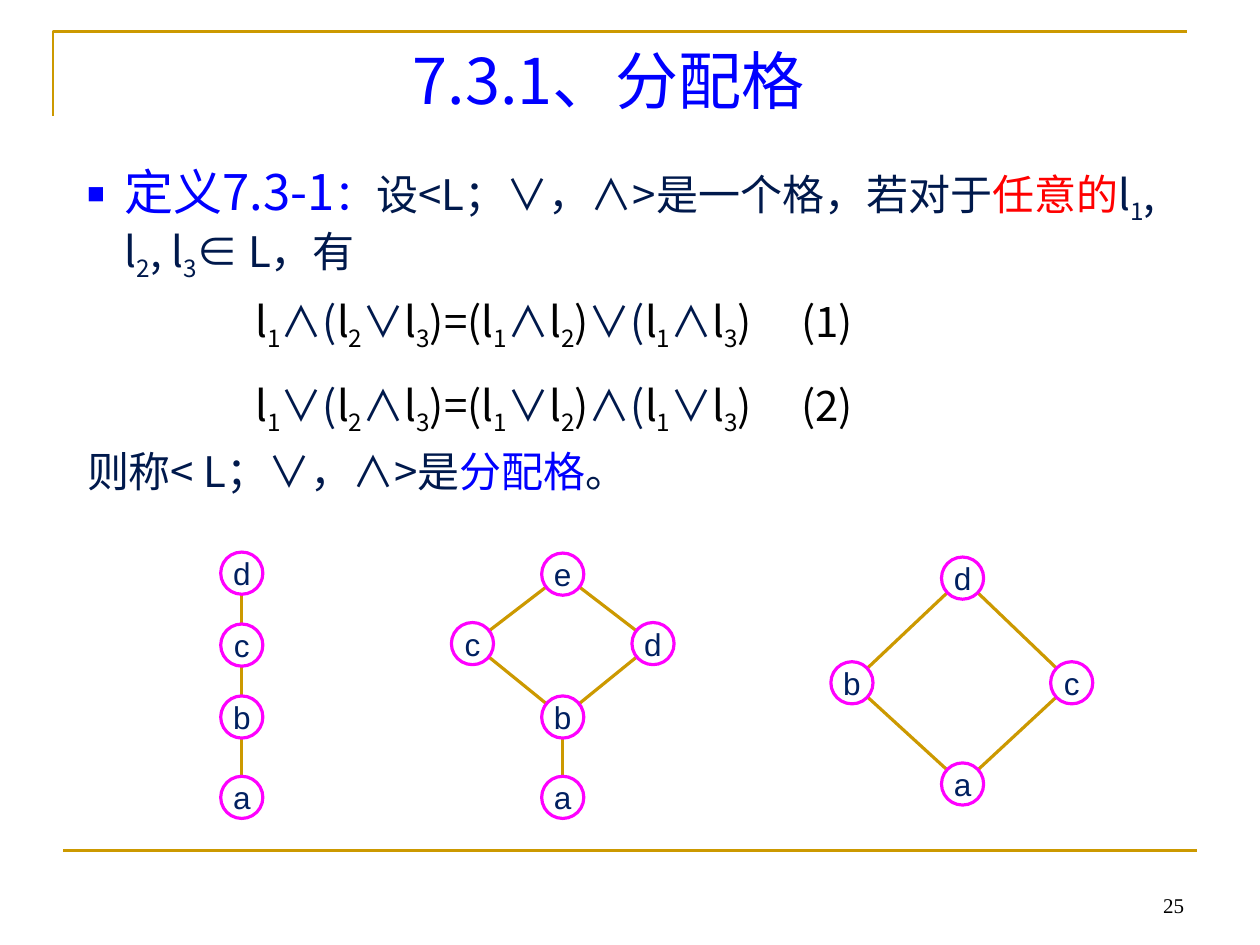
import math
from dataclasses import dataclass

import pptx
import pptx.dml.color
import pptx.enum.shapes
import pptx.enum.text
import pptx.oxml
import pptx.oxml.ns
import pptx.util

Cm, Pt = pptx.util.Cm, pptx.util.Pt
Align = pptx.enum.text.PP_ALIGN
Anchor = pptx.enum.text.MSO_ANCHOR
NS = pptx.oxml.ns.nsdecls("a")


@dataclass(frozen=True)
class Theme:
    sans: str = "Noto Sans CJK SC"
    label: str = "Arial"
    serif: str = "Times New Roman"
    blue: str = "0000FF"
    navy: str = "00194C"
    ink: str = "002060"
    red: str = "FF0000"
    black: str = "000000"
    gold: str = "CC9900"
    pink: str = "FF00FF"
    head: int = 36
    lead: int = 28
    text: int = 24
    node: int = 18
    foot: int = 12
    rule: float = 1.5
    edge: float = 1.8


T = Theme()


def paint(color):
    return pptx.dml.color.RGBColor.from_string(color)


def add_xml(parent, *tags):
    for tag in tags:
        parent.append(pptx.oxml.parse_xml(tag.replace(" ", f" {NS} ", 1)))


def place(shape, box):
    shape.left, shape.top, shape.width, shape.height = map(Cm, box)


def frame(shape, anchor=Anchor.TOP, wrap=True):
    text = shape.text_frame
    text.auto_size = pptx.enum.text.MSO_AUTO_SIZE.NONE
    text.word_wrap = wrap
    text.vertical_anchor = anchor
    return text


def add_run(para, text, color, size=T.text, font=T.sans, low=False):
    run = para.add_run()
    run.text = text
    run.font.size = Pt(size)
    run.font.name = font
    run.font.color.rgb = paint(color)
    props = run._r.get_or_add_rPr()
    if low:
        props.set("baseline", "-25000")
    add_xml(props, f'<a:ea typeface="{font}"/>')


def write(para, text, color, size=T.text):
    """Add runs; the character after each underscore is a subscript."""
    first, *rest = text.split("_")
    if first:
        add_run(para, first, color, size)
    for part in rest:
        add_run(para, part[0], color, size, low=True)
        if part[1:]:
            add_run(para, part[1:], color, size)


def add_line(slide, start, end, width):
    kind = pptx.enum.shapes.MSO_CONNECTOR.STRAIGHT
    line = slide.shapes.add_connector(kind, *map(Cm, (*start, *end)))
    line.line.color.rgb = paint(T.gold)
    line.line.width = Pt(width)
    add_xml(line._element.spPr, "<a:effectLst />")


def add_trim(slide, left, top, width, height):
    # Corner rule above the title, straight rule above the footer
    path = slide.shapes.build_freeform(Cm(left), Cm(top + 1.7))
    path.add_line_segments(
        [(Cm(left), Cm(top)), (Cm(left + width), Cm(top))], close=False)
    rule = path.convert_to_shape()
    rule.shadow.inherit = False
    rule.fill.background()
    rule.line.color.rgb = paint(T.gold)
    rule.line.width = Pt(T.rule)
    base = top + height
    add_line(slide, (left + 0.2, base), (left + 0.2 + width, base), T.rule)


def add_title(slide, box):
    title = slide.shapes.title
    place(title, box)
    para = frame(title).paragraphs[0]
    para.alignment = Align.CENTER
    add_run(para, "7.3.1、分配格", T.blue, T.head)


def add_body(slide, box):
    body = slide.placeholders[1]
    place(body, box)
    text = frame(body)

    # Bulleted definition
    para = text.paragraphs[0]
    para.space_before = Pt(12)
    props = para._p.get_or_add_pPr()
    props.set("marL", str(Cm(0.76)))
    props.set("indent", str(-Cm(0.76)))
    add_xml(props, '<a:buSzPct val="60000"/>', '<a:buChar char="■"/>')
    write(para, "定义7.3-1", T.blue, T.lead)
    write(para, "：", T.blue)
    write(para, "设<L；∨，∧>是一个格，若对于", T.navy)
    write(para, "任意的", T.red)
    write(para, "l_1, l_2, l_3∈ L，有", T.navy)

    # Conclusion, below the room left for the two laws
    para = text.add_paragraph()
    para.space_before = Pt(93)
    props = para._p.get_or_add_pPr()
    props.set("marL", "0")
    props.set("indent", "0")
    add_xml(props, "<a:buNone />")
    write(para, "则称< L；∨，∧>是", T.navy)
    write(para, "分配格", T.blue)
    write(para, "。", T.navy)


def add_laws(slide, box):
    shape = slide.shapes.add_textbox(*map(Cm, box))
    text = frame(shape, Anchor.MIDDLE)
    law = "l_1|∧(|l_2|∨|l_3)=(l_1|∧|l_2)|∨(|l_1|∧|l_3)"
    dual = law.translate(str.maketrans("∧∨", "∨∧"))
    for i, form in enumerate((law, dual)):
        para = text.add_paragraph() if i else text.paragraphs[0]
        para.line_spacing = 1.1
        para.space_before = para.space_after = Pt(6)
        add_xml(para._p.get_or_add_pPr(),
                f'<a:tabLst ><a:tab pos="{Cm(11)}" algn="l"/></a:tabLst>')
        # Letters and signs take turns, in black and navy
        for j, part in enumerate(form.split("|")):
            write(para, part, T.navy if j % 2 else T.black)
        write(para, f"\t({i + 1})", T.black)


def add_graph(slide, left, top, nodes, edges, size=0.85):
    """Draw a Hasse diagram; nodes are offsets from the left top corner."""
    half = size / 2
    spots = {name: (left + x + half, top + y + half)
             for name, (x, y) in nodes.items()}
    for one, two in edges.split():
        (x1, y1), (x2, y2) = spots[one], spots[two]
        part = half / math.dist(spots[one], spots[two])
        dx, dy = (x2 - x1) * part, (y2 - y1) * part
        add_line(slide, (x1 + dx, y1 + dy), (x2 - dx, y2 - dy), T.edge)
    for name, (x, y) in spots.items():
        node = slide.shapes.add_shape(
            pptx.enum.shapes.MSO_SHAPE.OVAL,
            *map(Cm, (x - half, y - half, size, size)))
        node.shadow.inherit = False
        node.fill.background()
        node.line.color.rgb = paint(T.pink)
        node.line.width = Pt(T.edge)
        text = frame(node, Anchor.MIDDLE, wrap=False)
        text.margin_left = text.margin_right = 0
        text.margin_top = text.margin_bottom = 0
        para = text.paragraphs[0]
        para.alignment = Align.CENTER
        add_run(para, name, T.ink, T.node, T.label)


def add_page(slide, box):
    shape = slide.shapes.add_textbox(*map(Cm, box))
    para = frame(shape, Anchor.BOTTOM).paragraphs[0]
    para.alignment = Align.RIGHT
    add_run(para, "25", T.black, T.foot, T.serif)


def main():
    deck = pptx.Presentation()
    deck.slide_width, deck.slide_height = Cm(25.4), Cm(19.05)
    slide = deck.slides.add_slide(deck.slide_layouts[1])
    add_trim(slide, 1.07, 0.63, 22.86, 16.52)
    add_title(slide, (1.9, 0.7, 20.75, 1.8))
    add_body(slide, (1.5, 3.12, 22.6, 7.1))
    add_laws(slide, (4.9, 5.92, 17, 2.8))
    # Chain, kite and diamond
    add_graph(slide, 4.45, 11.13,
              {"d": (0, 0), "c": (0, 1.45), "b": (0, 2.9), "a": (0, 4.52)},
              "dc cb ba")
    add_graph(slide, 9.1, 11.15,
              {"e": (1.82, 0), "c": (0, 1.4), "d": (3.64, 1.4),
               "b": (1.82, 2.88), "a": (1.82, 4.5)},
              "ec ed cb db ba")
    add_graph(slide, 16.75, 11.23,
              {"d": (2.23, 0), "b": (0, 2.11), "c": (4.43, 2.11),
               "a": (2.23, 4.15)},
              "db dc ba ca")
    add_page(slide, (18.2, 17.35, 5.92, 1.27))
    deck.save("out.pptx")


if __name__ == "__main__":
    main()
